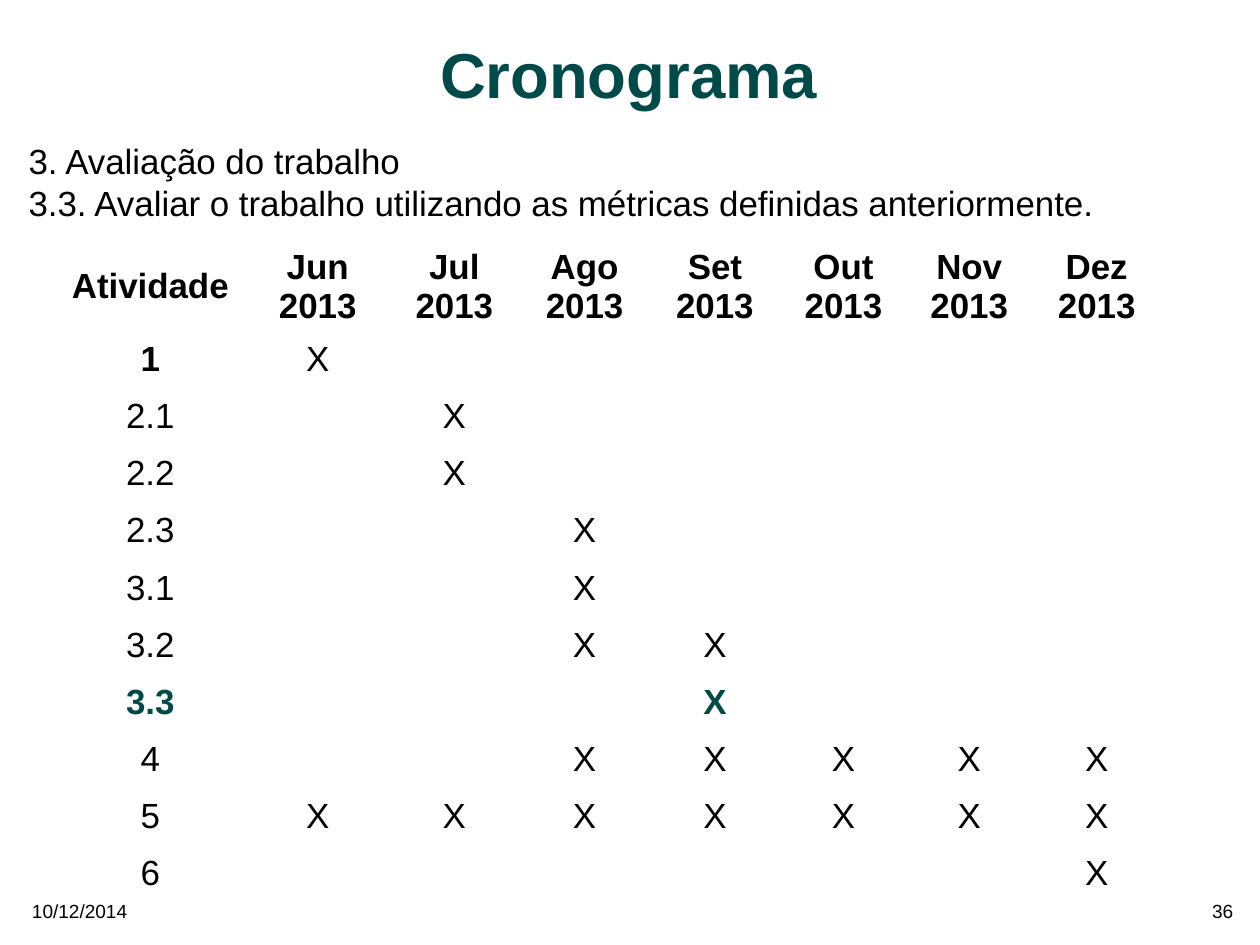
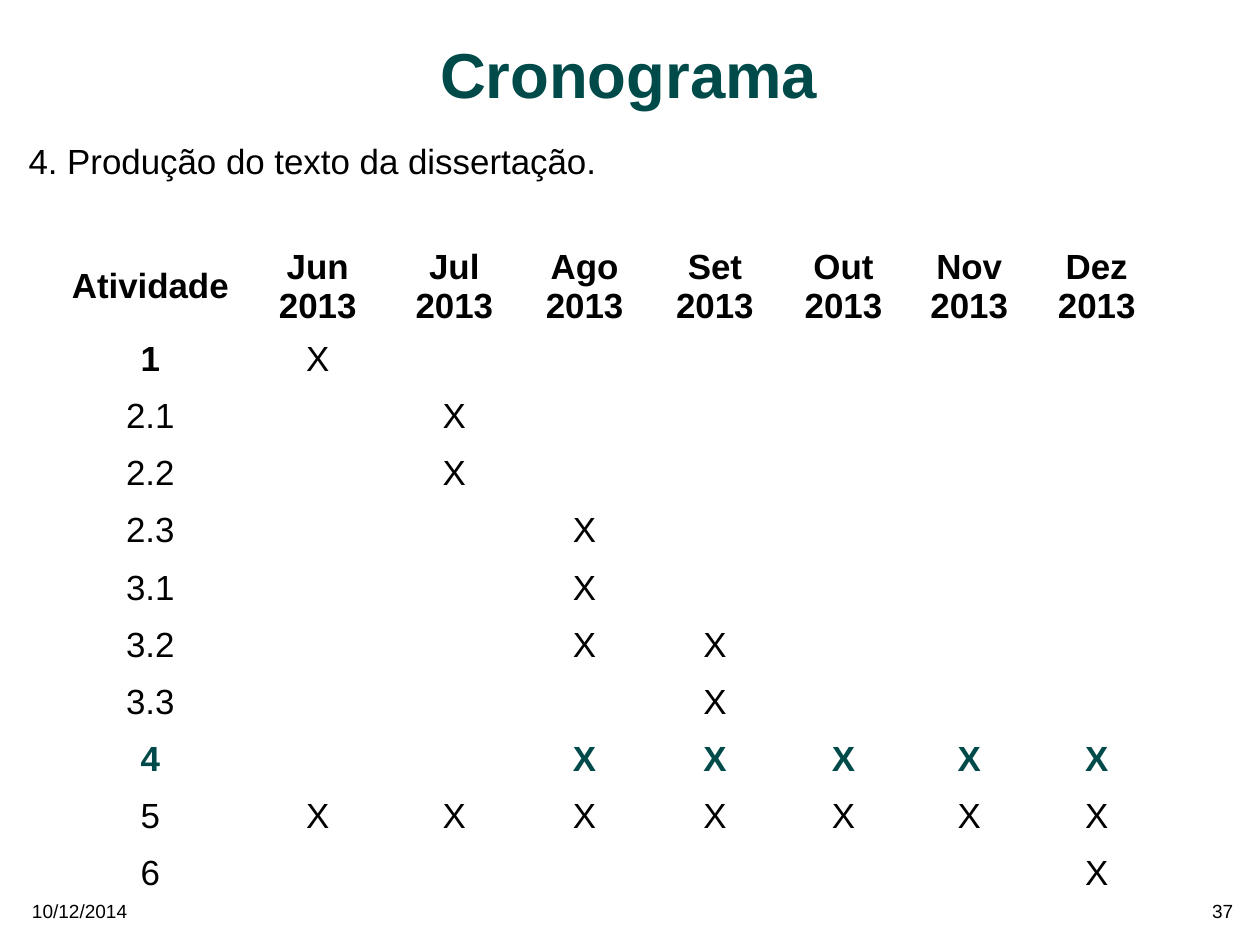
"""Builds two schedule slides, each highlighting one activity of the plan."""
from pptx import Presentation
from pptx.dml.color import RGBColor
from pptx.enum.text import MSO_ANCHOR as ANCHOR, PP_ALIGN as ALIGN
from pptx.oxml import parse_xml
from pptx.oxml.ns import nsdecls
from pptx.util import Cm, Inches, Pt

BLACK = RGBColor(0x00, 0x00, 0x00)
GREEN = RGBColor(0x00, 0x4A, 0x4A)
WHITE = RGBColor(0xFF, 0xFF, 0xFF)
FONT = "Arial"

MONTHS = ["Jun", "Jul", "Ago", "Set", "Out", "Nov", "Dez"]
PLAN = {
    "1": ["Jun"],
    "2.1": ["Jul"],
    "2.2": ["Jul"],
    "2.3": ["Ago"],
    "3.1": ["Ago"],
    "3.2": ["Ago", "Set"],
    "3.3": ["Set"],
    "4": MONTHS[2:],
    "5": MONTHS,
    "6": ["Dez"],
}
COL_WIDTHS = [1.69, 1.24, 1.15, 1.13, 1.15, 1.1, 1.1, 1.13]
ROW_HEIGHTS = [0.73] + [0.5] * len(PLAN)
SLIDES = [
    ("36", "3.3", "3. Avaliação do trabalho\n"
     "3.3. Avaliar o trabalho utilizando as métricas definidas anteriormente."),
    ("37", "4", "4. Produção do texto da dissertação."),
]


def write(tf, text, size, color=BLACK, bold=False, align=ALIGN.LEFT, spacing=None):
    tf.text = text
    for p in tf.paragraphs:
        p.alignment = align
        p.line_spacing = spacing
        for r in p.runs:
            r.font.name = FONT
            r.font.size = Pt(size)
            r.font.bold = bold
            r.font.color.rgb = color


def add_text(s, box, text, size, anchor=ANCHOR.TOP, **style):
    tf = s.shapes.add_textbox(*[Inches(v) for v in box]).text_frame
    tf.word_wrap = True
    tf.vertical_anchor = anchor
    tf.margin_left = tf.margin_right = tf.margin_top = tf.margin_bottom = 0
    write(tf, text, size, **style)


prs = Presentation()
prs.slide_width = Cm(28)
prs.slide_height = Cm(21)

for number, current, description in SLIDES:
    s = prs.slides.add_slide(prs.slide_layouts[6])
    add_text(s, (0.28, 7.87, 2.92, 0.21), "10/12/2014", 12)
    add_text(s, (7.87, 7.87, 2.92, 0.21), number, 12, align=ALIGN.RIGHT)
    add_text(s, (1.27, 0.18, 8.46, 1.04), "Cronograma", 40, anchor=ANCHOR.MIDDLE,
             color=GREEN, bold=True, align=ALIGN.CENTER, spacing=0.8)
    add_text(s, (0.25, 1.22, 10.5, 0.76), description, 22)

    rows = [["Atividade"] + [f"{month}\n2013" for month in MONTHS]]
    for activity, active in PLAN.items():
        rows.append([activity] + ["X" if month in active else "" for month in MONTHS])
    table = s.shapes.add_table(len(rows), len(COL_WIDTHS), Inches(0.47), Inches(2.09),
                               Inches(sum(COL_WIDTHS)), Inches(sum(ROW_HEIGHTS))).table
    table.horz_banding = False
    for column, width in zip(table.columns, COL_WIDTHS):
        column.width = Inches(width)
    for i, texts in enumerate(rows):
        table.rows[i].height = Inches(ROW_HEIGHTS[i])
        highlighted = texts[0] == current
        for j, text in enumerate(texts):
            cell = table.cell(i, j)
            cell.margin_left = cell.margin_right = Inches(0.04)
            cell.margin_top = cell.margin_bottom = Inches(0.05)
            cell.vertical_anchor = ANCHOR.TOP if i else ANCHOR.MIDDLE
            write(cell.text_frame, text, 22, color=GREEN if highlighted else BLACK,
                  bold=i == 0 or highlighted or text == "1", align=ALIGN.CENTER)
            if not text:
                cell.text_frame.paragraphs[0].font.size = Pt(22)
            tcPr = cell._tc.get_or_add_tcPr()
            inner = {"lnL": j > 0, "lnR": j < len(texts) - 1,
                     "lnT": i > 0, "lnB": i < len(rows) - 1}
            for side, visible in inner.items():
                fill = (f'<a:solidFill><a:srgbClr val="{WHITE}"/></a:solidFill>'
                        if visible else "<a:noFill/>")
                tcPr.append(parse_xml(
                    f'<a:{side} {nsdecls("a")} w="{Pt(1.19)}">{fill}</a:{side}>'))
            cell.fill.background()

prs.save("out.pptx")
